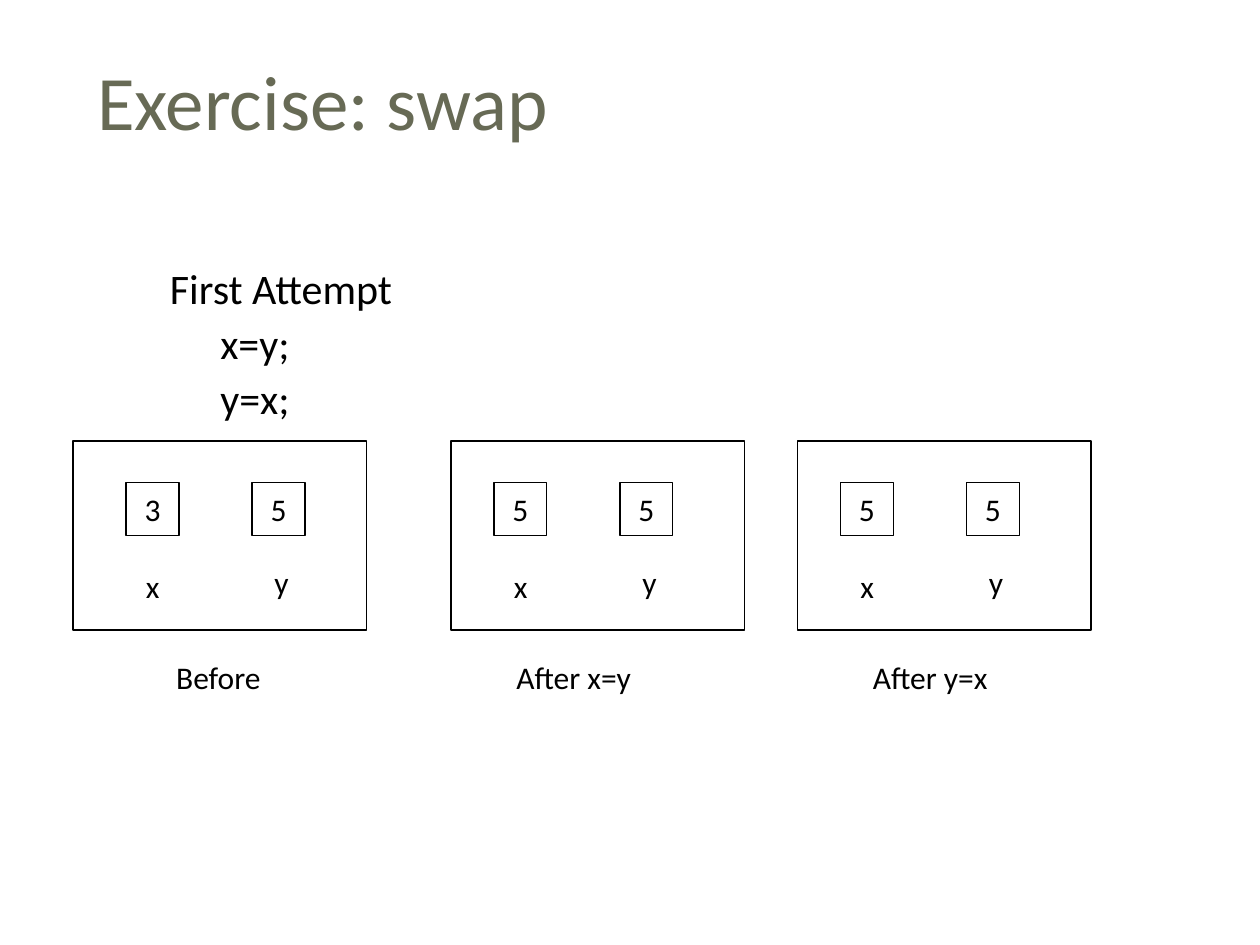
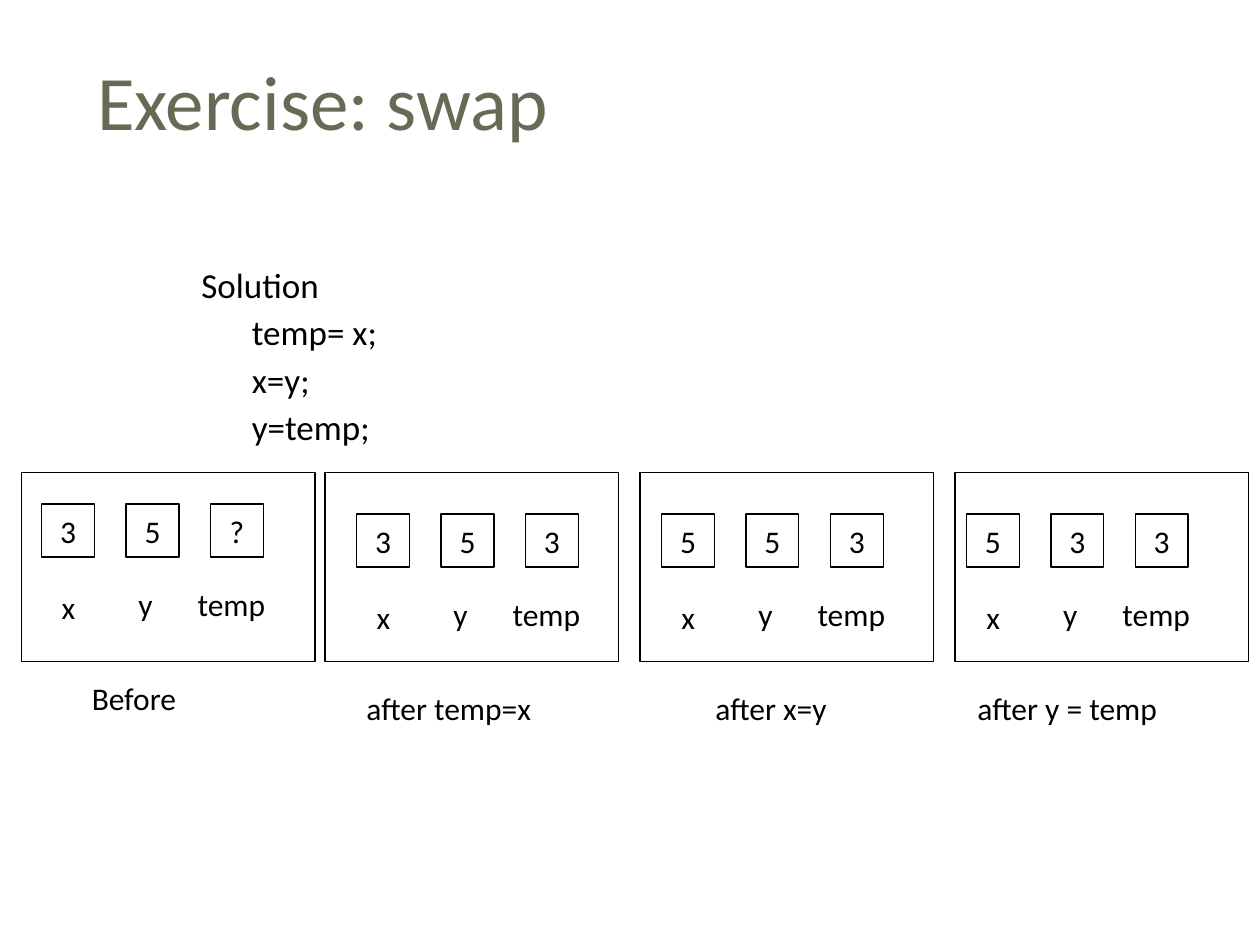
"""Build two slides that trace the values of variables during a swap exercise."""
from dataclasses import dataclass

from pptx import Presentation
from pptx.dml.color import RGBColor
from pptx.enum.shapes import MSO_SHAPE
from pptx.enum.text import MSO_ANCHOR, MSO_AUTO_SIZE, PP_ALIGN
from pptx.util import Inches, Pt

RECTANGLE = MSO_SHAPE.RECTANGLE
MIDDLE, TOP = MSO_ANCHOR.MIDDLE, MSO_ANCHOR.TOP
LEFT, CENTER = PP_ALIGN.LEFT, PP_ALIGN.CENTER
GROW, FIXED = MSO_AUTO_SIZE.SHAPE_TO_FIT_TEXT, MSO_AUTO_SIZE.NONE


@dataclass(frozen=True)
class Theme:
    font: str = "Calibri"
    ink: RGBColor = RGBColor(0x00, 0x00, 0x00)
    heading: RGBColor = RGBColor(0x67, 0x6A, 0x55)
    title_size: int = 44
    attempt_size: int = 24
    solution_size: int = 20
    label_size: int = 18
    outline: float = 0.74


TITLE_BOX = (0.67, 0.25, 8.92, 1.08)
FRAME_SIZE = (2.33, 1.5)
CELL_SIDE = 0.42
LABEL_HEIGHT = 0.4
CAPTION_DROP = 1.34


def apply(target, formats):
    for name, value in formats.items():
        setattr(target, name, value)


class SwapDeck:
    def __init__(self, theme):
        self.theme = theme
        self.deck = Presentation()
        apply(self.deck, {"slide_width": Inches(10), "slide_height": Inches(7.5)})
        self.slide = None

    def put_text(self, paragraph, text, size, color, **formats):
        apply(paragraph, formats)
        run = paragraph.add_run()
        run.text = text
        apply(run.font, {"name": self.theme.font, "size": Pt(size)})
        run.font.color.rgb = color

    def title(self, text):
        self.slide = self.deck.slides.add_slide(self.deck.slide_layouts[5])
        heading = self.slide.shapes.title
        sides = ("left", "top", "width", "height")
        apply(heading, {side: Inches(length) for side, length in zip(sides, TITLE_BOX)})
        apply(heading.text_frame, {"vertical_anchor": MIDDLE, "auto_size": FIXED})
        self.put_text(heading.text_frame.paragraphs[0], text, self.theme.title_size,
                      self.theme.heading, alignment=LEFT)

    def code(self, box, size, heading, statements):
        frame = self.slide.shapes.add_textbox(*map(Inches, box)).text_frame
        apply(frame, {"word_wrap": True, "vertical_anchor": TOP})
        for index, line in enumerate([heading, *statements]):
            paragraph = frame.add_paragraph() if index else frame.paragraphs[0]
            level, margin, indent, before = (1, 0.7, -0.3, 5.5) if index else (0, 0.35, -0.35, 7)
            properties = paragraph._p.get_or_add_pPr()
            properties.set("marL", str(Inches(margin)))
            properties.set("indent", str(Inches(indent)))
            self.put_text(paragraph, line, size, self.theme.ink, level=level,
                          line_spacing=0.9, space_before=Pt(before))

    def label(self, left, top, width, text):
        box = map(Inches, (left, top, width, LABEL_HEIGHT))
        frame = self.slide.shapes.add_textbox(*box).text_frame
        apply(frame, {"word_wrap": False, "auto_size": GROW})
        self.put_text(frame.paragraphs[0], text, self.theme.label_size, self.theme.ink)

    def outline(self, left, top, width, height):
        box = map(Inches, (left, top, width, height))
        rectangle = self.slide.shapes.add_shape(RECTANGLE, *box)
        rectangle.shadow.inherit = False
        rectangle.fill.background()
        rectangle.line.color.rgb = self.theme.ink
        rectangle.line.width = Pt(self.theme.outline)
        return rectangle

    def cell(self, left, top, value):
        frame = self.outline(left, top, CELL_SIDE, CELL_SIDE).text_frame
        apply(frame, {"word_wrap": False, "vertical_anchor": MIDDLE})
        self.put_text(frame.paragraphs[0], value, self.theme.label_size, self.theme.ink,
                      alignment=CENTER)

    def states(self, frame_top, step, variables, states):
        for _, left, top, values, caption in states:
            for index, (value, variable) in enumerate(zip(values, variables)):
                name, shift, drop, width = variable
                cell_left = left + index * step
                self.cell(cell_left, top, value)
                self.label(cell_left + shift, top + drop, width, name)
            text, caption_left, caption_width = caption
            self.label(caption_left, top + CAPTION_DROP, caption_width, text)
        for frame_left, *_ in states:
            self.outline(frame_left, frame_top, *FRAME_SIZE)


X = ("x", 0.06, 0.62, 0.33)
Y_WIDE = ("y", 0.08, 0.59, 0.33)
Y_NARROW = ("y", 0, 0.59, 0.33)
TEMP = ("temp", -0.2, 0.59, 0.82)

ATTEMPT = [
    (0.58, 1, 3.83, "35", ("Before", 1.3, 0.98)),
    (3.58, 3.92, 3.83, "55", ("After x=y", 4, 1.25)),
    (6.33, 6.67, 3.83, "55", ("After y=x", 6.83, 1.25)),
]
SOLUTION = [
    (0.17, 0.33, 4, "35?", ("Before", 0.63, 0.98)),
    (2.58, 2.83, 4.08, "353", ("after temp=x", 2.81, 1.72)),
    (5.08, 5.25, 4.08, "553", ("after x=y", 5.58, 1.23)),
    (7.58, 7.67, 4.08, "533", ("after y = temp", 7.66, 1.84)),
]

theme = Theme()
swap = SwapDeck(theme)

swap.title("Exercise: swap")
swap.code((1.25, 2.08, 8.75, 1.42), theme.attempt_size, "First Attempt", ["x=y;", "y=x;"])
swap.states(3.5, 1, [X, Y_WIDE], ATTEMPT)

swap.title("Exercise: swap")
swap.code((1.5, 2.08, 8.75, 1.58), theme.solution_size, "Solution",
          ["temp= x;", "x=y;", "y=temp;"])
swap.states(3.75, 0.67, [X, Y_NARROW, TEMP], SOLUTION)

swap.deck.save("out.pptx")
